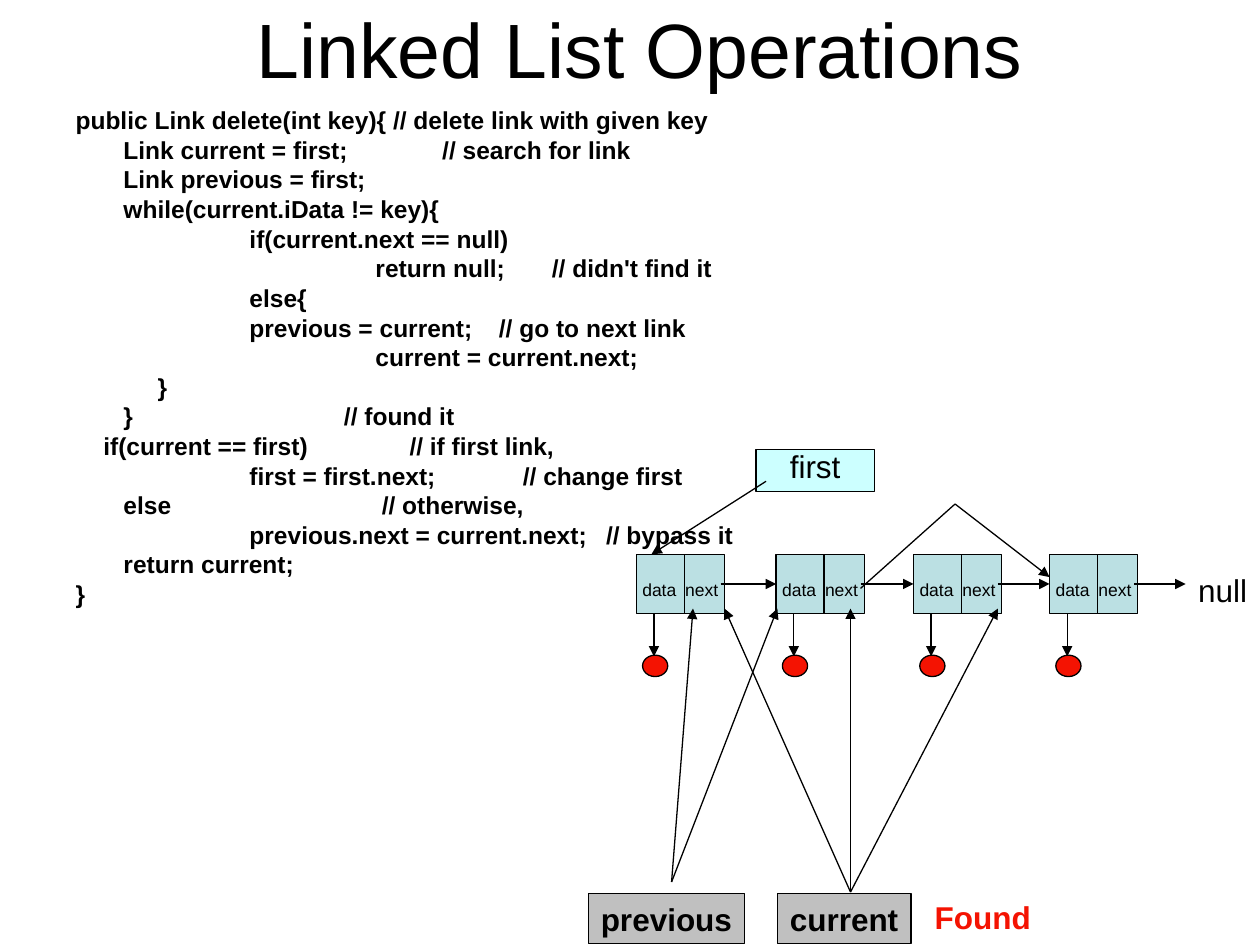
from pptx import Presentation
from pptx.dml.color import RGBColor
from pptx.enum.shapes import MSO_CONNECTOR as Connector, MSO_SHAPE as Shape
from pptx.enum.text import MSO_ANCHOR as Anchor, MSO_AUTO_SIZE as AutoSize, PP_ALIGN as Align
from pptx.oxml.ns import qn
from pptx.util import Inches, Pt
from lxml.etree import SubElement

BLACK, RED, TEAL, CYAN, GREY = "000000", "F41302", "BBE0E3", "CCFFFF", "C0C0C0"

# Indent in inches, statement, then the comment's position and text if any
CODE = [
    (0, "public Link delete(int key){ // delete link with given key"),
    (0.38, "Link current = first;", 2.91, "// search for link"),
    (0.38, "Link previous = first;"),
    (0.38, "while(current.iData != key){"),
    (1.38, "if(current.next == null)"),
    (2.38, "return null;", 3.78, "// didn't find it"),
    (1.38, "else{"),
    (1.38, "previous = current;", 3.36, "// go to next link"),
    (2.38, "current = current.next;"),
    (0.65, "}"),
    (0.38, "}", 2.13, "// found it"),
    (0.22, "if(current == first)", 2.65, "// if first link,"),
    (1.38, "first = first.next;", 3.55, "// change first"),
    (0.38, "else", 2.43, "// otherwise,"),
    (1.38, "previous.next = current.next;", 4.21, "// bypass it"),
    (0.38, "return current;"),
    (0, "}"),
]

NODE_LEFTS = [5.05, 6.16, 7.25, 8.33]
NODE_TOP, NODE_WIDTH, NODE_HEIGHT = 4.4, 0.7, 0.47
NODE_BOTTOM = NODE_TOP + NODE_HEIGHT
NODE_MIDDLE = NODE_TOP + NODE_HEIGHT / 2


def color(hex_string):
    return RGBColor.from_string(hex_string)


def set_font(paragraph, size, bold=False, hex_color=BLACK):
    font = paragraph.font
    font.name, font.size, font.bold = "Arial", Pt(size), bold
    font.color.rgb = color(hex_color)


def place(element, left, top, width, height):
    element.left, element.top = Inches(left), Inches(top)
    element.width, element.height = Inches(width), Inches(height)


def add_box(slide, kind, fill, left, top, width, height):
    box = slide.shapes.add_shape(
        kind, Inches(left), Inches(top), Inches(width), Inches(height))
    box.shadow.inherit = False
    box.fill.solid()
    box.fill.fore_color.rgb = color(fill)
    box.line.color.rgb = color(BLACK)
    box.line.width = Pt(0.75)
    return box


def write(holder, text, size, bold=False, hex_color=BLACK):
    frame = holder.text_frame
    frame.word_wrap = False
    frame.auto_size = AutoSize.SHAPE_TO_FIT_TEXT
    frame.vertical_anchor = Anchor.TOP
    frame.text = text
    frame.paragraphs[0].alignment = Align.LEFT
    set_font(frame.paragraphs[0], size, bold, hex_color)


def add_label(slide, text, left, top, width, height, size=18, **style):
    label = slide.shapes.add_textbox(
        Inches(left), Inches(top), Inches(width), Inches(height))
    write(label, text, size, **style)


def add_line(slide, start, end, arrow=True):
    line = slide.shapes.add_connector(
        Connector.STRAIGHT, *(Inches(value) for value in (*start, *end)))
    line.line.color.rgb = color(BLACK)
    line.line.width = Pt(0.75)
    if arrow:
        SubElement(line.line._get_or_add_ln(), qn("a:tailEnd"), type="triangle")
    SubElement(line._element.spPr, qn("a:effectLst"))
    return line


def fill_title(title):
    place(title, 0.58, -0.25, 9, 1.25)
    frame = title.text_frame
    frame.text = "Linked List Operations"
    frame.auto_size = AutoSize.NONE
    frame.vertical_anchor = Anchor.MIDDLE
    frame.paragraphs[0].alignment = Align.CENTER
    set_font(frame.paragraphs[0], 44)


def fill_code(body):
    place(body, 0.5, 0.83, 8.83, 4.17)
    frame = body.text_frame
    frame.auto_size = AutoSize.NONE
    frame.vertical_anchor = Anchor.TOP
    for number, (indent, statement, *comment) in enumerate(CODE):
        code_line = frame.add_paragraph() if number else frame.paragraphs[0]
        code_line.text = "\t".join([statement, *comment[1:]])
        code_line.line_spacing = 0.8
        code_line.space_before = Pt(3.5)
        properties = code_line._p.get_or_add_pPr()
        properties.set("marL", str(Inches(indent)))
        properties.set("indent", "0")
        SubElement(properties, qn("a:buNone"))
        if comment:
            # Tab stop from the text edge, and the same as a step from the indent
            stop = comment[0]
            properties.set("defTabSz", str(Inches(stop - indent)))
            tabs = SubElement(properties, qn("a:tabLst"))
            SubElement(tabs, qn("a:tab"), pos=str(Inches(stop)), algn="l")
        set_font(code_line, 14, bold=True)


def add_node(slide, left):
    node = add_box(slide, Shape.RECTANGLE, TEAL, left, NODE_TOP, NODE_WIDTH, NODE_HEIGHT)
    add_line(slide, (left + 0.38, NODE_TOP), (left + 0.38, NODE_BOTTOM), arrow=False)
    add_line(slide, (left + 0.14, NODE_BOTTOM), (left + 0.14, 5.21))
    add_label(slide, "data", left - 0.05, 4.55, 0.47, 0.27, size=10)
    add_label(slide, "next", left + 0.29, 4.55, 0.46, 0.27, size=10)
    add_box(slide, Shape.OVAL, RED, left + 0.05, 5.2, 0.2, 0.17)
    return node


def add_list(slide):
    nodes = [add_node(slide, left) for left in NODE_LEFTS]
    followers = nodes[1:] + [None]
    targets = NODE_LEFTS[1:] + [9.41]
    for left, target, follower in zip(NODE_LEFTS, targets, followers):
        link = add_line(slide, (left + 0.67, NODE_MIDDLE), (target, NODE_MIDDLE))
        if follower is not None:
            link.end_connect(follower, 1)
    add_label(slide, "null", 9.41, 4.48, 0.59, 0.4)


def add_pointers(slide):
    # Head of the list
    add_box(slide, Shape.RECTANGLE, CYAN, 6, 3.57, 0.94, 0.33)
    add_label(slide, "first", 6.17, 3.5, 0.67, 0.4)
    add_line(slide, (6.08, 3.82), (5.17, NODE_TOP))

    # Search references and the links they visit
    for name, left, width, start, visited in [
        ("previous", 4.67, 1.24, (5.33, 7), (5.5, 6.17)),
        ("current", 6.17, 1.06, (6.75, 7.08), (5.75, 6.75, 7.92)),
    ]:
        reference = add_box(slide, Shape.RECTANGLE, GREY, left, 7.09, width, 0.4)
        write(reference, name, 18, bold=True)
        for x in visited:
            add_line(slide, start, (x, 4.83))
    add_label(slide, "Found!", 7.32, 7.08, 1.04, 0.4, bold=True, hex_color=RED)

    # Bypass around the deleted link
    add_line(slide, (6.83, 4.67), (7.58, 4), arrow=False)
    add_line(slide, (7.58, 4), (8.33, 4.58))


def main():
    deck = Presentation()
    deck.slide_width, deck.slide_height = Inches(10), Inches(7.5)
    slide = deck.slides.add_slide(deck.slide_layouts[1])
    fill_title(slide.shapes.title)
    fill_code(slide.placeholders[1])
    add_list(slide)
    add_pointers(slide)
    deck.save("out.pptx")


if __name__ == "__main__":
    main()
